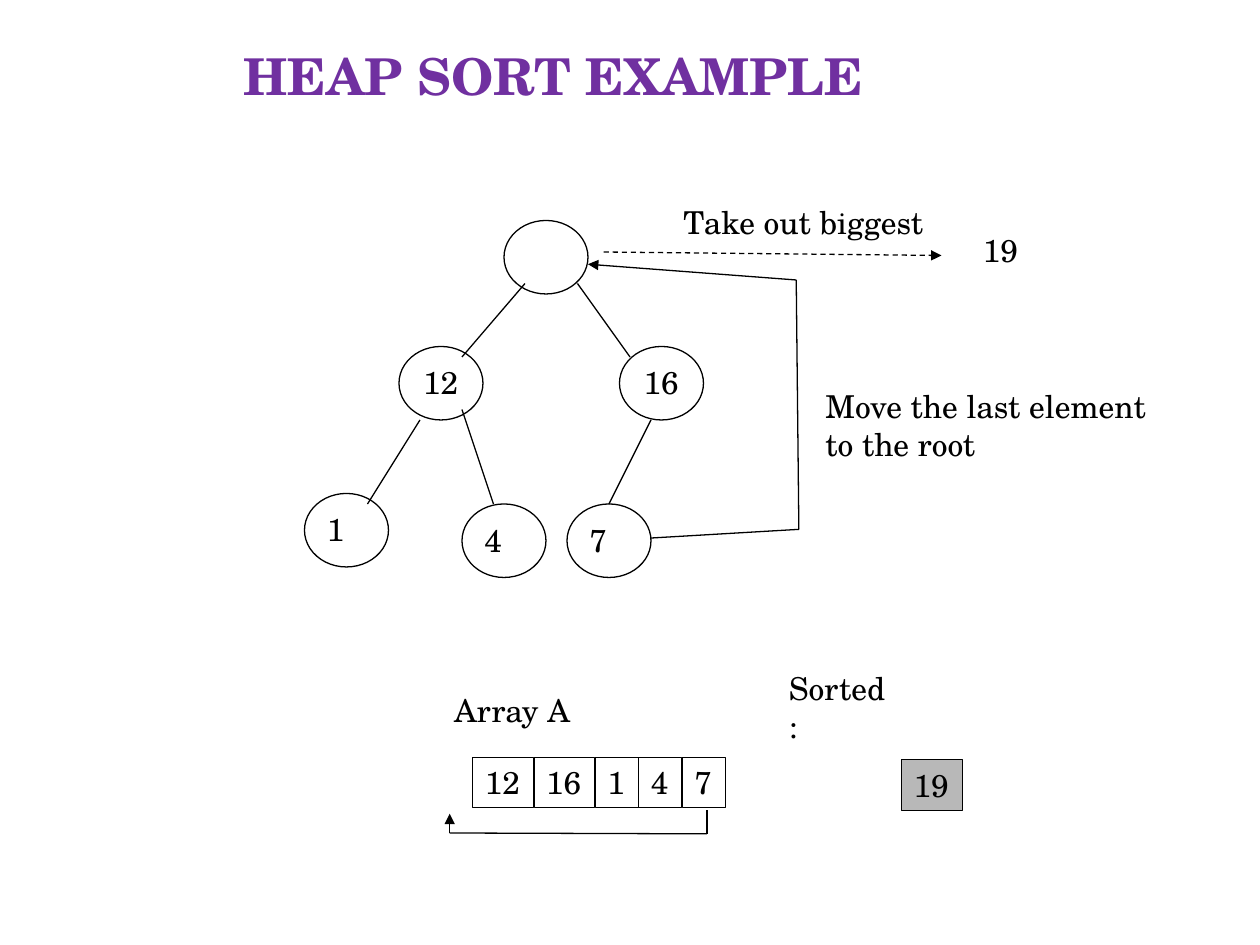
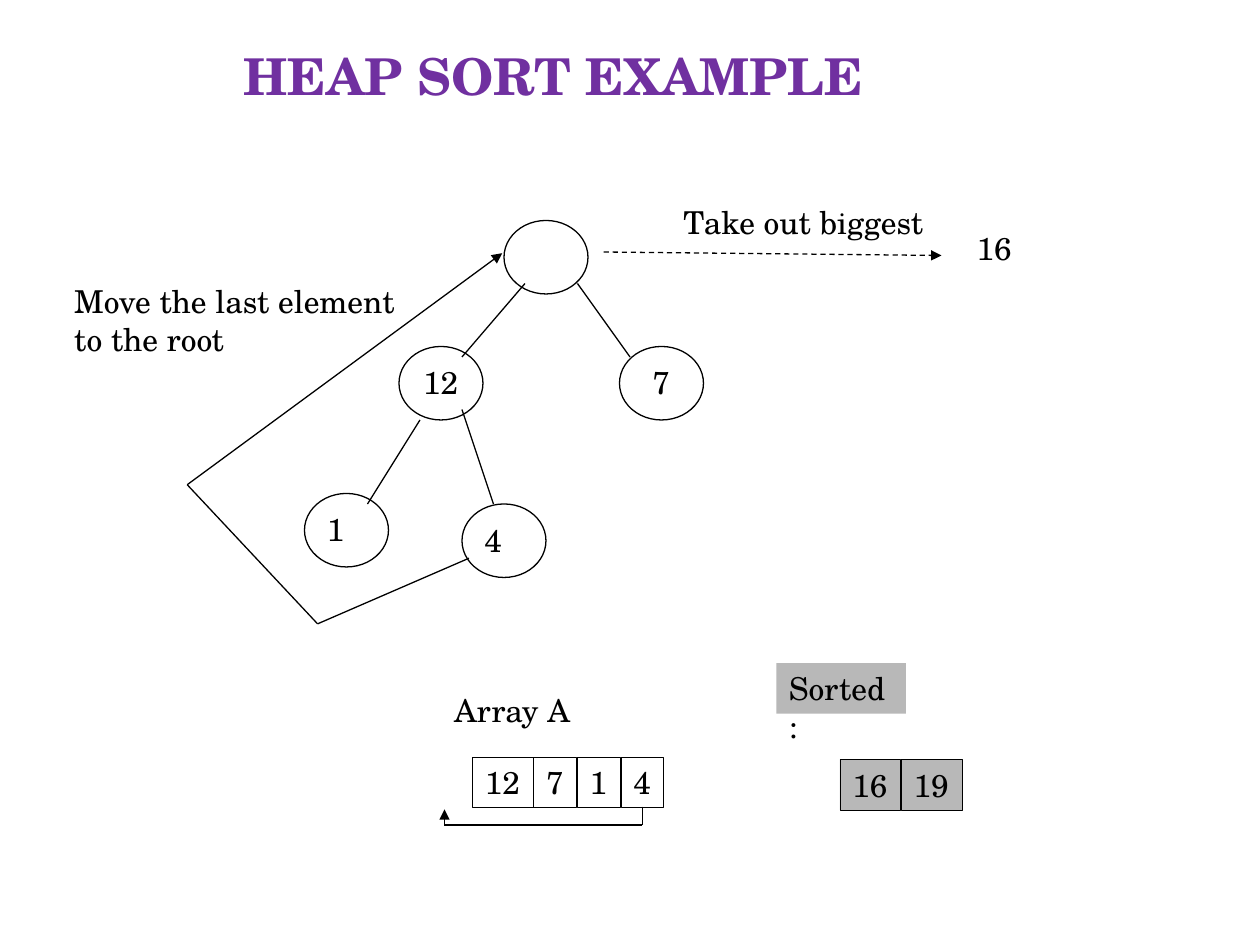
from pptx import Presentation
from pptx.dml.color import RGBColor
from pptx.enum.dml import MSO_LINE
from pptx.enum.shapes import MSO_CONNECTOR, MSO_SHAPE
from pptx.enum.text import MSO_ANCHOR, MSO_AUTO_SIZE, PP_ALIGN
from pptx.oxml.ns import qn
from pptx.util import Pt
from lxml.etree import SubElement

BLACK = RGBColor(0x00, 0x00, 0x00)
PURPLE = RGBColor(0x70, 0x30, 0xA0)
GREY = RGBColor(0xB8, 0xB8, 0xB8)
FONT = "TeX Gyre Schola"

TITLE = "HEAP SORT EXAMPLE"
MOVE = ["Move the last element", "to the root"]

NODE_W, NODE_H = 48, 42
TEXT_H = 28.8
DIGIT_W = {1: 24.5, 2: 34.6}
CELL_GAP = 0.4
ARRAY_LEFT, ARRAY_TOP = 270, 432.5
SORTED_RIGHT, SORTED_TOP = 550, 434

# Heap slots in level order: left, top, label centre, edge from the parent
SLOTS = [
    (288, 126, 24, None),
    (228, 198, 24, [(300, 162), (264, 204)]),
    (354, 198, 24, [(330, 162), (360, 204)]),
    (174, 282, 18, [(240, 240), (210, 288)]),
    (264, 288, 18, [(264, 234), (282, 288)]),
    (324, 288, 18, [(372, 240), (348, 288)]),
]

STEPS = [
    {
        "heap": ["", "12", "16", "1", "4", "7"],
        "array": ["12", "16", "1", "4", "7"],
        "sorted": ["19"],
        "sorted_fill": None,
        "biggest": ("19", 554.5, 128.5),
        "move_at": (464.5, 217.5),
        "move_path": [(371.5, 307.5), (456.5, 302.5), (455, 160), (336, 151)],
        "array_path": [(404, 463), (404, 476.5), (257, 476), (257, 465)],
    },
    {
        "heap": ["", "12", "7", "1", "4"],
        "array": ["12", "7", "1", "4"],
        "sorted": ["16", "19"],
        "sorted_fill": GREY,
        "biggest": ("16", 551, 127.5),
        "move_at": (35.3, 157.7),
        "move_path": [(268, 319), (181.5, 356.5), (107, 277), (287, 144.7)],
        "array_path": [(367, 461), (367, 471.5), (254, 471.5), (254, 462.5)],
    },
]


def write(sp, lines, size=18, color=BLACK, bold=False):
    """Write left-aligned lines into a shape."""
    tf = sp.text_frame
    tf.auto_size = MSO_AUTO_SIZE.NONE
    tf.word_wrap = False
    tf.vertical_anchor = MSO_ANCHOR.TOP
    for i, line in enumerate(lines):
        p = tf.add_paragraph() if i else tf.paragraphs[0]
        p.alignment = PP_ALIGN.LEFT
        r = p.add_run()
        r.text = line
        r.font.name, r.font.size, r.font.bold = FONT, Pt(size), bold
        r.font.color.rgb = color
    return tf


def add_text(s, lines, x, y, w, h=TEXT_H):
    """Add a text box."""
    return write(s.shapes.add_textbox(Pt(x), Pt(y), Pt(w), Pt(h)), lines)


def add_shape(s, kind, x, y, w, h, fill=None, line=None):
    """Add a flat preset shape."""
    sp = s.shapes.add_shape(kind, Pt(x), Pt(y), Pt(w), Pt(h))
    sp.shadow.inherit = False
    if fill is None:
        sp.fill.background()
    else:
        sp.fill.solid()
        sp.fill.fore_color.rgb = fill
    if line is None:
        sp.line.fill.background()
    else:
        sp.line.color.rgb = BLACK
        sp.line.width = Pt(line)
    return sp


def add_path(s, points, arrow=False, dash=False):
    """Join points with lines, with an optional arrowhead at the end."""
    for start, end in zip(points, points[1:]):
        c = s.shapes.add_connector(MSO_CONNECTOR.STRAIGHT, *map(Pt, start + end))
        c.line.color.rgb = BLACK
        c.line.width = Pt(0.75)
        if dash:
            c.line.dash_style = MSO_LINE.DASH
        SubElement(c._element.spPr, qn("a:effectLst"))
    if arrow:
        SubElement(c.line._get_or_add_ln(), qn("a:tailEnd"), type="triangle")


def add_title(s):
    """Place and format the title."""
    sp = s.shapes.title
    sp.left, sp.top, sp.width, sp.height = Pt(132), Pt(36), Pt(420), Pt(62.5)
    tf = write(sp, [TITLE], 29, PURPLE, True)
    tf.word_wrap = True
    tf.vertical_anchor = MSO_ANCHOR.BOTTOM
    tf.margin_bottom = Pt(38)


def add_heap(s, values):
    """Draw the heap as a tree."""
    for value, (x, y, centre, edge) in zip(values, SLOTS):
        add_shape(s, MSO_SHAPE.OVAL, x, y, NODE_W, NODE_H, line=0.75)
        if value:
            w = DIGIT_W[len(value)]
            add_text(s, [value], x + centre - w / 2, y + 6, w)
        if edge:
            add_path(s, edge)


def add_cells(s, values, x, y, fill=None):
    """Draw a row of array cells."""
    for value in values:
        w = DIGIT_W[len(value)]
        write(add_shape(s, MSO_SHAPE.RECTANGLE, x, y, w, TEXT_H, fill, 0.25), [value])
        x += w + CELL_GAP


def add_step(prs, step):
    """Build one step of the sort."""
    s = prs.slides.add_slide(prs.slide_layouts[5])
    add_title(s)
    add_heap(s, step["heap"])

    value, x, y = step["biggest"]
    add_text(s, [value], x, y, DIGIT_W[len(value)])
    add_text(s, ["Take out biggest"], 383.5, 112.5, 152)
    add_path(s, [(345, 144), (538, 146)], arrow=True, dash=True)
    add_text(s, MOVE, *step["move_at"], 198.5, 50.4)
    add_path(s, step["move_path"], arrow=True)

    add_text(s, ["Array A"], 252.5, 391.5, 80.5)
    add_cells(s, step["array"], ARRAY_LEFT, ARRAY_TOP)
    add_path(s, step["array_path"], arrow=True)

    label = add_shape(s, MSO_SHAPE.RECTANGLE, 443.7, 379, 74, TEXT_H, step["sorted_fill"])
    tf = write(label, ["Sorted:"])
    tf.word_wrap = True
    tf.margin_right = Pt(9)
    width = sum(DIGIT_W[len(v)] + CELL_GAP for v in step["sorted"])
    add_cells(s, step["sorted"], SORTED_RIGHT - width, SORTED_TOP, GREY)


def main():
    """Build the deck."""
    prs = Presentation()
    prs.slide_width, prs.slide_height = Pt(720), Pt(540)
    for step in STEPS:
        add_step(prs, step)
    prs.save("out.pptx")


if __name__ == "__main__":
    main()
